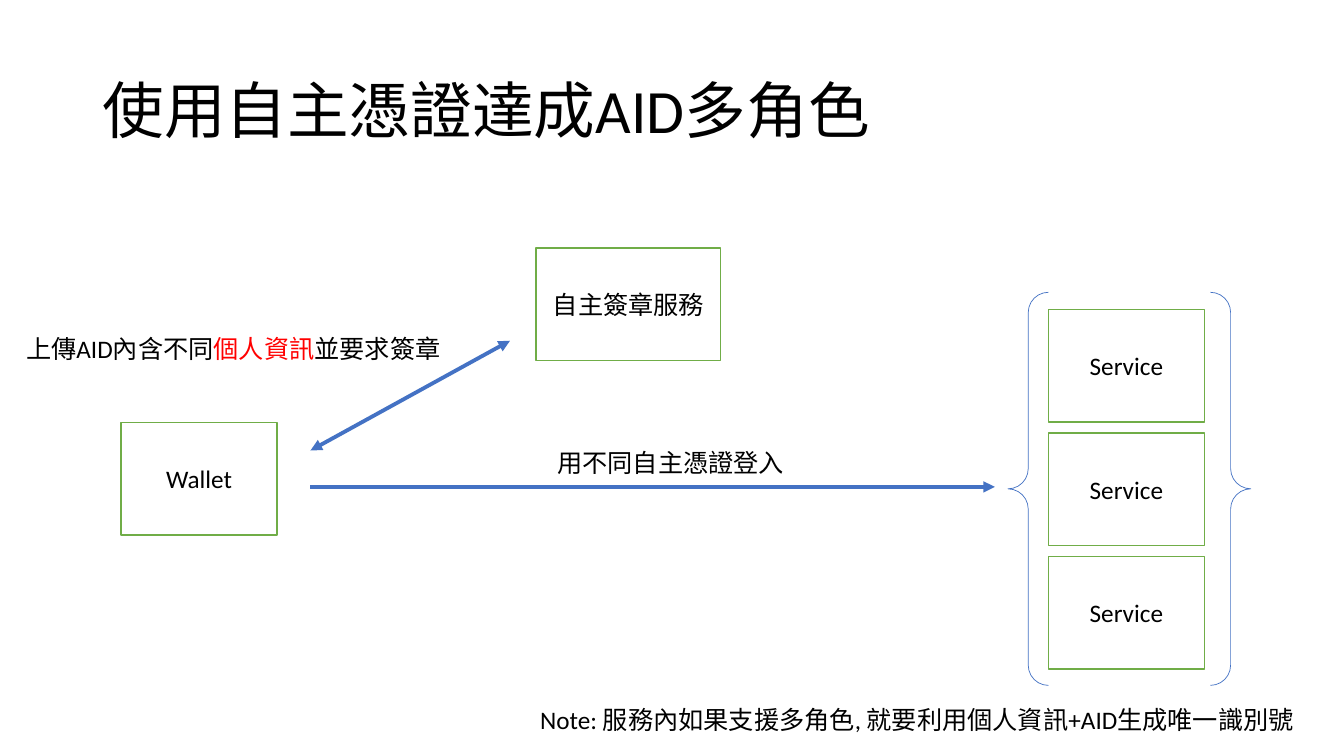
from dataclasses import dataclass

import pptx
import pptx.dml.color
import pptx.enum.shapes
import pptx.enum.text
import pptx.oxml
import pptx.oxml.ns
import pptx.util

Pt = pptx.util.Pt
SHAPES = pptx.enum.shapes.MSO_SHAPE
ANCHORS = pptx.enum.text.MSO_ANCHOR
ALIGNMENTS = pptx.enum.text.PP_ALIGN

BLACK, WHITE, RED = "000000", "FFFFFF", "FF0000"
GREEN, BLUE = "70AD47", "4472C4"

BOX_WIDTH, BOX_HEIGHT = 111.6, 80.6
SERVICE_LEFT, SERVICE_TOP, SERVICE_STEP = 748.8, 221, 88.2
SERVICE_COUNT = 3


@dataclass
class Run:
    text: str
    color: str = BLACK


@dataclass
class Label:
    runs: list[Run]
    left: float
    top: float
    width: float
    height: float = 29
    size: float = 18
    wrap: bool = False
    anchor: ANCHORS = ANCHORS.TOP
    line_spacing: float = 1.0


@dataclass
class Box:
    text: str
    left: float
    top: float
    width: float = BOX_WIDTH


@dataclass
class Arrow:
    start: tuple[float, float]
    end: tuple[float, float]
    ends: tuple[str, ...]


LABELS = [
    Label([Run("使用自主憑證達成AID多角色")], 66.2, 28.8, 828, 104.4,
          size=44, wrap=True, anchor=ANCHORS.MIDDLE, line_spacing=0.9),
    Label([Run("上傳AID內含不同"), Run("個人資訊", RED), Run("並要求簽章")],
          11.5, 234.7, 313.2, wrap=True),
    Label([Run("用不同自主憑證登入")], 391, 316.1, 177.8),
    Label([Run("Note: 服務內如果支援多角色, 就要利用個人資訊+AID生成唯一識別號")],
          378.7, 499.7, 576.7),
]
BOXES = [
    Box("自主簽章服務", 383, 177.1, 131.8),
    Box("Wallet", 86.4, 301.7),
    *(Box("Service", SERVICE_LEFT, SERVICE_TOP + SERVICE_STEP * row)
      for row in range(SERVICE_COUNT)),
]
ARROWS = [
    Arrow((221.8, 321.8), (364.3, 243.4), ("headEnd", "tailEnd")),
    Arrow((221.8, 347.8), (710.6, 347.8), ("tailEnd",)),
]


def rgb(color: str) -> pptx.dml.color.RGBColor:
    return pptx.dml.color.RGBColor.from_string(color)


def apply_format(target, values: dict) -> None:
    for name, value in values.items():
        setattr(target, name, value)


def set_line(shape, color: str, width: float) -> None:
    shape.line.color.rgb = rgb(color)
    shape.line.width = Pt(width)


def add_run(paragraph, run: Run, size: float) -> None:
    text_run = paragraph.add_run()
    text_run.text = run.text
    apply_format(text_run.font, {"name": "Calibri", "size": Pt(size)})
    text_run.font.color.rgb = rgb(run.color)


def add_label(slide, label: Label) -> None:
    shape = slide.shapes.add_textbox(
        Pt(label.left), Pt(label.top), Pt(label.width), Pt(label.height))
    apply_format(shape.text_frame, {
        "word_wrap": label.wrap, "vertical_anchor": label.anchor})
    paragraph = shape.text_frame.paragraphs[0]
    paragraph.line_spacing = label.line_spacing
    for run in label.runs:
        add_run(paragraph, run, label.size)


def add_box(slide, box: Box) -> None:
    shape = slide.shapes.add_shape(
        SHAPES.RECTANGLE, Pt(box.left), Pt(box.top), Pt(box.width), Pt(BOX_HEIGHT))
    shape.shadow.inherit = False
    shape.fill.solid()
    shape.fill.fore_color.rgb = rgb(WHITE)
    set_line(shape, GREEN, 1)
    apply_format(shape.text_frame, {
        "word_wrap": True, "vertical_anchor": ANCHORS.MIDDLE})
    paragraph = shape.text_frame.paragraphs[0]
    paragraph.alignment = ALIGNMENTS.CENTER
    add_run(paragraph, Run(box.text), 18)


def add_arrow(slide, arrow: Arrow) -> None:
    connector = slide.shapes.add_connector(
        pptx.enum.shapes.MSO_CONNECTOR.STRAIGHT,
        *(Pt(value) for value in arrow.start + arrow.end))
    set_line(connector, BLUE, 2.75)
    line = connector.line._get_or_add_ln()
    for end in arrow.ends:
        line.append(pptx.oxml.parse_xml(
            f'<a:{end} {pptx.oxml.ns.nsdecls("a")} type="triangle"/>'))
    connector._element.spPr.append(pptx.oxml.parse_xml(
        f'<a:effectLst {pptx.oxml.ns.nsdecls("a")}/>'))


def add_service_braces(slide) -> None:
    braces = slide.shapes.add_shape(
        SHAPES.DOUBLE_BRACE, Pt(720), Pt(208.8), Pt(173.5), Pt(280.8))
    braces.shadow.inherit = False
    braces.fill.background()
    set_line(braces, BLUE, 0.5)


def main() -> None:
    presentation = pptx.Presentation()
    apply_format(presentation, {"slide_width": Pt(960), "slide_height": Pt(540)})
    slide = presentation.slides.add_slide(presentation.slide_layouts[6])
    for box in BOXES:
        add_box(slide, box)
    for arrow in ARROWS:
        add_arrow(slide, arrow)
    add_service_braces(slide)
    for label in LABELS:
        add_label(slide, label)
    presentation.save("out.pptx")


if __name__ == "__main__":
    main()
